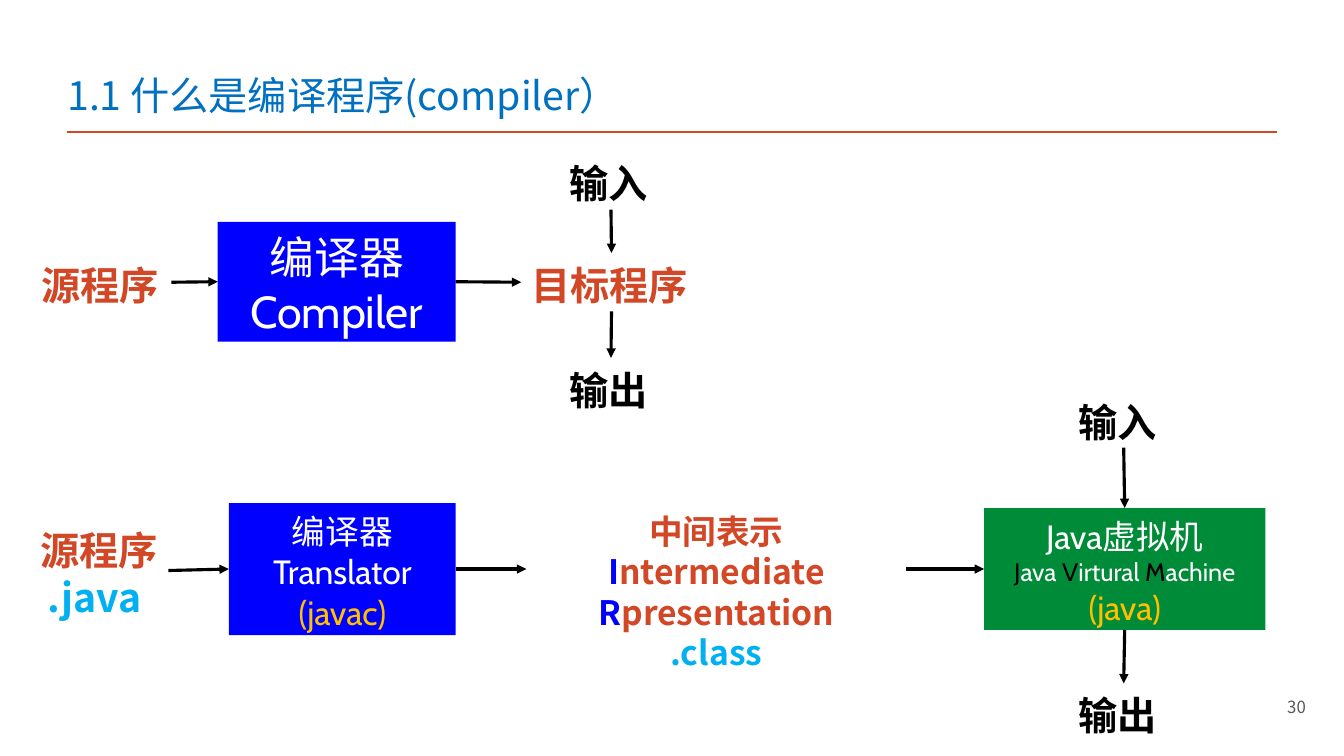
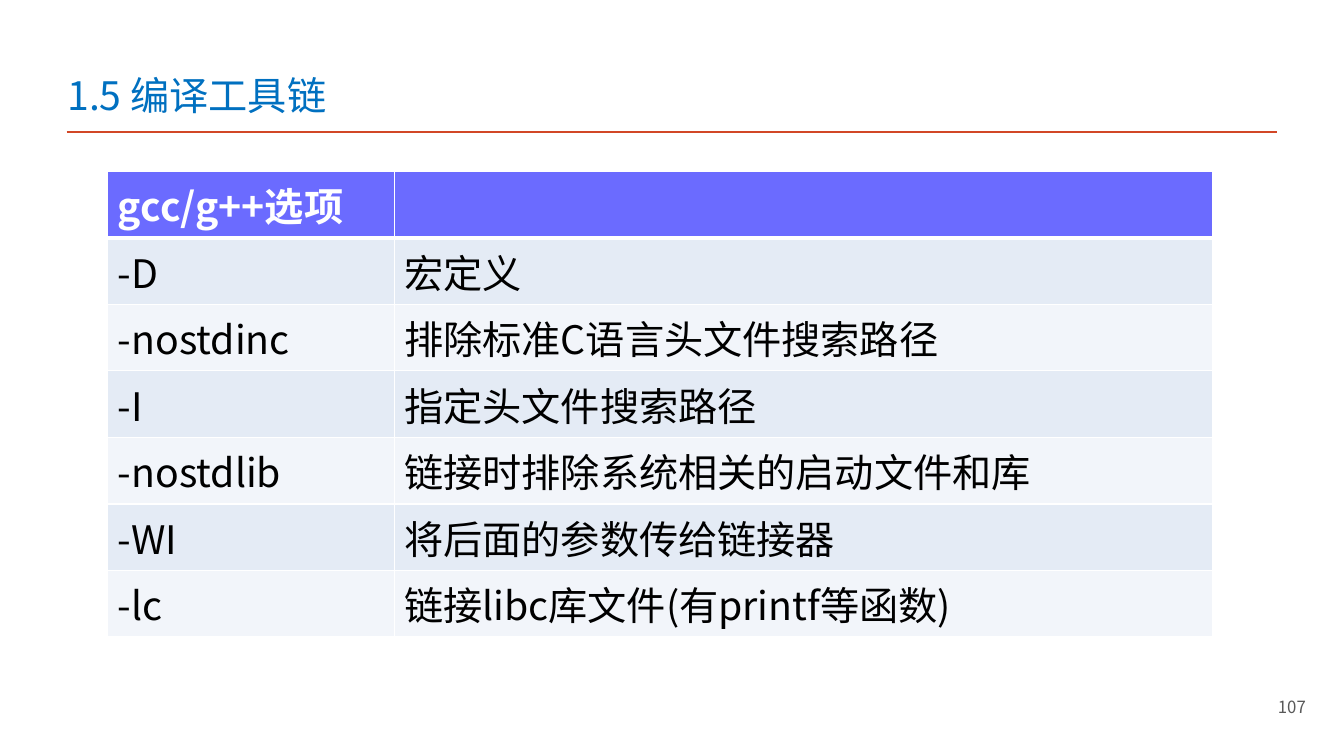
from dataclasses import dataclass

from lxml import etree
from pptx import Presentation
from pptx import util as u
from pptx.dml.color import RGBColor
from pptx.enum import shapes, text
from pptx.oxml import ns


@dataclass(frozen=True)
class Theme:
    sans: str = "Noto Sans CJK SC"
    round: str = "Cabin"
    title: str = "0070C0"
    accent: str = "D24726"
    blue: str = "0000FF"
    green: str = "008B39"
    sky: str = "00B0F0"
    gold: str = "FFC000"
    black: str = "000000"
    white: str = "FFFFFF"
    gray: str = "595959"
    bands: tuple = ("D2DEEF", "EAEFF7")
    huge: int = 32
    large: int = 28
    medium: int = 24
    small: int = 18
    tiny: int = 12
    leading: float = 1.2
    cell_alpha: int = 58


THEME = Theme()
TOP, LEFT, BOTTOM, RIGHT = range(4)


def add_run(para, words, size, color, font=THEME.sans, bold=False):
    span = para.add_run()
    span.text = words
    span.font.size = u.Pt(size)
    span.font.bold = bold
    span.font.name = font
    span.font.color.rgb = RGBColor.from_string(color)
    east = etree.SubElement(span.font._element, ns.qn("a:ea"))
    east.set("typeface", font if font == THEME.sans else THEME.sans)


def fill_text(shape, lines, font=THEME.sans, bold=False, align=text.PP_ALIGN.LEFT):
    frame = shape.text_frame
    frame.word_wrap = True
    frame.vertical_anchor = text.MSO_ANCHOR.TOP
    frame.margin_top, frame.margin_bottom = u.Inches(0.08), 0
    for index, (size, runs) in enumerate(lines):
        para = frame.add_paragraph() if index else frame.paragraphs[0]
        para.alignment = align
        para.line_spacing = u.Pt(round(size * THEME.leading, 1))
        for words, color in runs:
            add_run(para, words, size, color, font, bold)


def add_label(page, box, lines, align=text.PP_ALIGN.CENTER):
    label = page.shapes.add_textbox(*map(u.Inches, box))
    fill_text(label, lines, bold=True, align=align)
    return label


def add_word(page, box, word, color=THEME.black):
    return add_label(page, box, [(THEME.large, [(word, color)])], text.PP_ALIGN.LEFT)


def add_block(page, box, color, lines):
    block = page.shapes.add_shape(shapes.MSO_SHAPE.RECTANGLE, *map(u.Inches, box))
    block.shadow.inherit = False
    block.fill.solid()
    block.fill.fore_color.rgb = RGBColor.from_string(color)
    block.line.fill.background()
    fill_text(block, lines, THEME.round, align=text.PP_ALIGN.CENTER)
    return block


def add_line(page, ends, color, width):
    line = page.shapes.add_connector(
        shapes.MSO_CONNECTOR.STRAIGHT, *map(u.Inches, ends))
    line.line.color.rgb = RGBColor.from_string(color)
    line.line.width = u.Pt(width)
    etree.SubElement(line._element.spPr, ns.qn("a:effectLst"))
    return line


def add_arrow(page, start, end, sides):
    arrow = add_line(page, (0, 0, 0, 0), THEME.black, 2.25)
    arrow.begin_connect(start, sides[0])
    arrow.end_connect(end, sides[1])
    head = etree.SubElement(arrow.line._get_or_add_ln(), ns.qn("a:tailEnd"))
    head.set("type", "triangle")


def join_across(page, *parts):
    for start, end in zip(parts, parts[1:]):
        add_arrow(page, start, end, (RIGHT, LEFT))


def join_down(page, *parts):
    for start, end in zip(parts, parts[1:]):
        add_arrow(page, start, end, (BOTTOM, TOP))


def add_page(deck, title, number):
    page = deck.slides.add_slide(deck.slide_layouts[6])
    add_line(page, (0.66, 1.31, 12.67, 1.31), THEME.accent, 2)
    heading = page.shapes.add_textbox(*map(u.Inches, (0.57, 0.49, 7.52, 0.7)))
    frame = heading.text_frame
    frame.word_wrap = True
    frame.vertical_anchor = text.MSO_ANCHOR.BOTTOM
    frame.margin_bottom = u.Inches(0.02)
    add_run(frame.paragraphs[0], title, THEME.large, THEME.title)
    footer = page.shapes.add_textbox(*map(u.Inches, (9.16, 6.81, 3.89, 0.4)))
    frame = footer.text_frame
    frame.word_wrap = True
    frame.vertical_anchor = text.MSO_ANCHOR.MIDDLE
    frame.paragraphs[0].alignment = text.PP_ALIGN.RIGHT
    add_run(frame.paragraphs[0], number, THEME.tiny, THEME.gray)
    return page


def draw_compiler_flow(page, left, top):
    source = add_word(page, (left, top + 1.01, 1.39, 0.58), "源程序", THEME.accent)
    compiler = add_block(page, (left + 1.85, top + 0.7, 2.36, 1.19), THEME.blue, [
        (THEME.huge, [("编译器", THEME.white)]),
        (THEME.huge, [("Compiler", THEME.white)]),
    ])
    target = add_word(page, (left + 4.86, top + 1.01, 1.79, 0.58), "目标程序", THEME.accent)
    given, result = [
        add_word(page, (left + 5.24, top + drop, 1.02, 0.58), word)
        for drop, word in ((0, "输入"), (2.05, "输出"))
    ]
    join_across(page, source, compiler, target)
    join_down(page, given, target, result)


def draw_java_flow(page, left, top):
    source = add_label(page, (left, top + 1.27, 1.38, 1.04), [
        (THEME.large, [("源程序", THEME.accent)]),
        (THEME.large, [(".java ", THEME.sky)]),
    ])
    translator = add_block(page, (left + 1.98, top + 1.12, 2.25, 1.31), THEME.blue, [
        (THEME.medium, [("编译器", THEME.white)]),
        (THEME.medium, [("Translator", THEME.white)]),
        (THEME.medium, [("(javac)", THEME.gold)]),
    ])
    middle = add_label(page, (left + 4.93, top + 1.12, 3.77, 1.31), [
        (THEME.medium, [("中间表示", THEME.accent)]),
        (THEME.medium, [("I", THEME.blue), ("ntermediate ", THEME.accent),
                        ("R", THEME.blue), ("presentation", THEME.accent)]),
        (THEME.medium, [(".class", THEME.sky)]),
    ])
    machine = add_block(page, (left + 9.47, top + 1.17, 2.79, 1.21), THEME.green, [
        (THEME.medium, [("Java虚拟机", THEME.white)]),
        (THEME.small, [("J", THEME.black), ("ava ", THEME.white),
                       ("V", THEME.black), ("irtural ", THEME.white),
                       ("M", THEME.black), ("achine", THEME.white)]),
        (THEME.medium, [("(java)", THEME.gold)]),
    ])
    given, result = [
        add_word(page, (left + 10.31, top + drop, 1.09, 0.57), word)
        for drop, word in ((0, "输入"), (2.91, "输出"))
    ]
    join_across(page, source, translator, middle, machine)
    join_down(page, given, machine, result)


def style_cell(cell, color, bottom):
    properties = cell._tc.get_or_add_tcPr()
    for side, width in (("L", 1), ("R", 1), ("T", 1), ("B", bottom)):
        border = etree.SubElement(properties, ns.qn(f"a:ln{side}"), w=str(u.Pt(width)))
        paint = etree.SubElement(border, ns.qn("a:solidFill"))
        etree.SubElement(paint, ns.qn("a:srgbClr"), val=THEME.white)
    cell.fill.solid()
    cell.fill.fore_color.rgb = RGBColor.from_string(color)
    tint = properties.find(ns.qn("a:solidFill")).find(ns.qn("a:srgbClr"))
    etree.SubElement(tint, ns.qn("a:alpha"), val=str(THEME.cell_alpha * 1000))


def draw_options_table(page, left, top, widths, row_height, rows):
    frame = page.shapes.add_table(
        len(rows), len(widths), u.Inches(left), u.Inches(top),
        u.Inches(sum(widths)), u.Inches(row_height * len(rows)))
    table = frame.table
    for column, width in zip(table.columns, widths):
        column.width = u.Inches(width)
    for row_index, row in enumerate(rows):
        table.rows[row_index].height = u.Inches(row_height)
        header = row_index == 0
        fill = THEME.blue if header else THEME.bands[(row_index - 1) % 2]
        for column_index, words in enumerate(row):
            cell = table.cell(row_index, column_index)
            style_cell(cell, fill, 3 if header else 1)
            if words:
                add_run(cell.text_frame.paragraphs[0], words, THEME.large,
                        THEME.white if header else THEME.black, bold=header)


def main():
    deck = Presentation()
    deck.slide_width, deck.slide_height = u.Inches(13.33), u.Inches(7.5)

    page = add_page(deck, "1.1 什么是编译程序(compiler）", "30")
    draw_compiler_flow(page, 0.31, 1.5)
    draw_java_flow(page, 0.29, 3.87)

    page = add_page(deck, "1.5 编译工具链", "107")
    draw_options_table(page, 1.07, 1.7, (2.84, 8.12), 0.66, [
        ("gcc/g++选项", ""),
        ("-D", "宏定义"),
        ("-nostdinc", "排除标准C语言头文件搜索路径"),
        ("-I", "指定头文件搜索路径"),
        ("-nostdlib", "链接时排除系统相关的启动文件和库"),
        ("-WI", "将后面的参数传给链接器"),
        ("-lc", "链接libc库文件(有printf等函数)"),
    ])
    deck.save("out.pptx")


if __name__ == "__main__":
    main()
